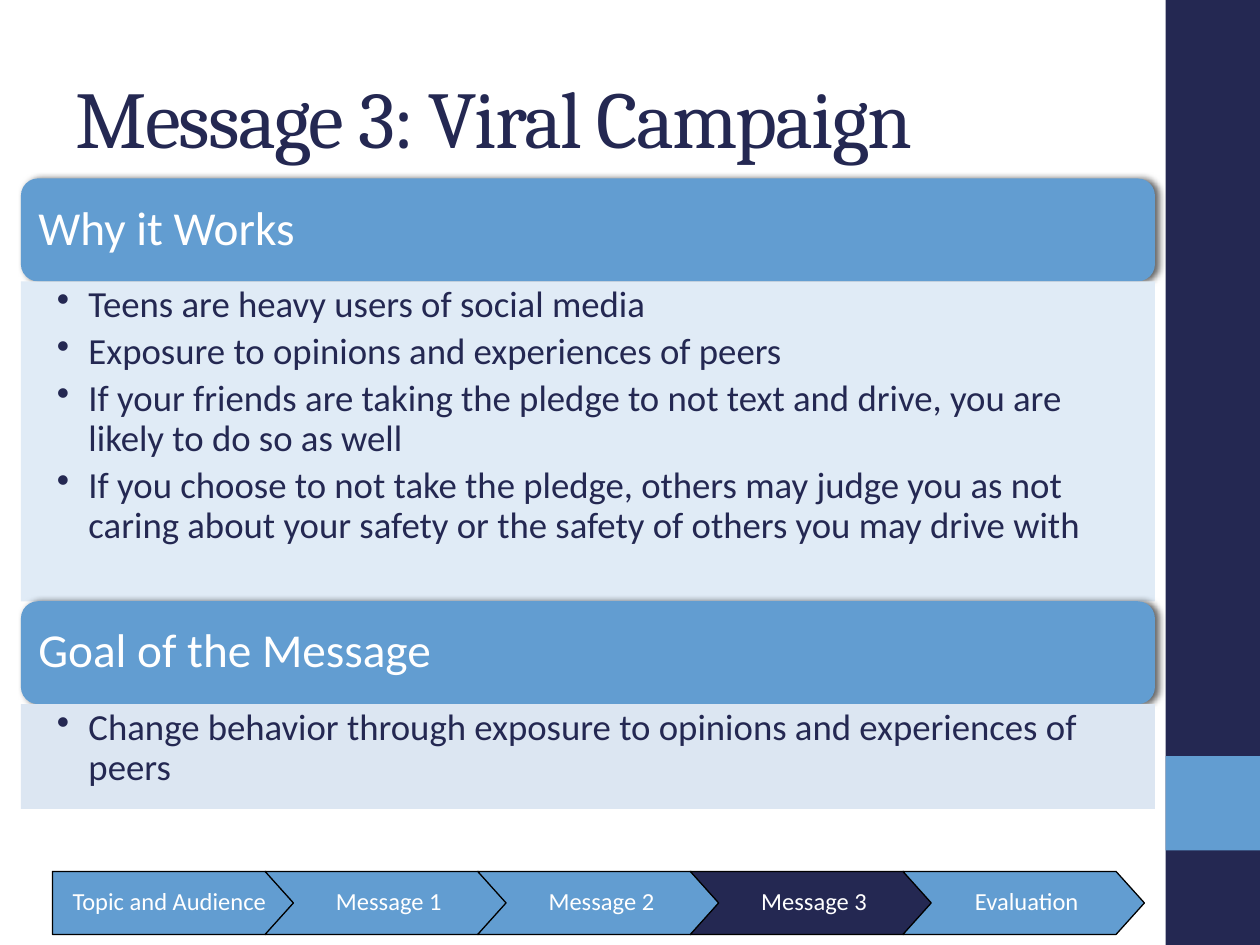
from pptx import Presentation
from pptx.dml.color import RGBColor
from pptx.enum.shapes import MSO_SHAPE as Kind
from pptx.enum.text import MSO_ANCHOR as Anchor, PP_ALIGN as Align
from pptx.oxml import parse_xml
from pptx.oxml.ns import nsdecls
from pptx.util import Pt

NAVY = RGBColor(0x24, 0x28, 0x52)
BLUE = RGBColor(0x62, 0x9D, 0xD1)
PALE = RGBColor(0xE0, 0xEB, 0xF6)
MIST = RGBColor(0xDC, 0xE6, 0xF2)
WHITE = RGBColor(255, 255, 255)
BLACK = RGBColor(0, 0, 0)

TITLE = "Message 3: Viral Campaign"
PARTS = [
    ("Why it Works", 182.8, PALE, [
        "Teens are heavy users of social media",
        "Exposure to opinions and experiences of peers",
        "If your friends are taking the pledge to not text and drive, "
        "you are likely to do so as well",
        "If you choose to not take the pledge, others may judge you as not "
        "caring about your safety or the safety of others you may drive with",
    ]),
    ("Goal of the Message", 59.8, MIST, [
        "Change behavior through exposure to opinions and experiences of peers",
    ]),
]
STEPS = ["Topic and Audience", "Message 1", "Message 2", "Message 3", "Evaluation"]
NOW = "Message 3"
BARS = [(0, 540, NAVY), (432, 54, BLUE)]

SHADOW = (
    f'<a:effectLst {nsdecls("a")}><a:outerShdw blurRad="50800" dist="25400" dir="0">'
    '<a:srgbClr val="000000"><a:alpha val="60000"/></a:srgbClr>'
    '</a:outerShdw></a:effectLst>'
)
DOT = f'<a:buChar {nsdecls("a")} char="•"/>'

deck = Presentation()
deck.slide_width, deck.slide_height = Pt(720), Pt(540)
slide = deck.slides.add_slide(deck.slide_layouts[6])


def add_box(kind, x, y, w, h, fill, edge=None):
    box = slide.shapes.add_shape(kind, Pt(x), Pt(y), Pt(w), Pt(h))
    box.shadow.inherit = False
    box.fill.solid()
    box.fill.fore_color.rgb = fill
    if edge is None:
        box.line.fill.background()
    else:
        box.line.color.rgb = edge
        box.line.width = Pt(0.75)
    return box


def put_text(box, lines, *, size, color, font="Calibri", align=Align.LEFT,
             anchor=Anchor.MIDDLE, pad=(7.2, 3.6, 7.2, 3.6), lead=0.9,
             after=0, dots=False, track=None):
    frame = box.text_frame
    frame.word_wrap = True
    frame.vertical_anchor = anchor
    (frame.margin_left, frame.margin_top,
     frame.margin_right, frame.margin_bottom) = map(Pt, pad)
    for i, line in enumerate(lines):
        para = frame.add_paragraph() if i else frame.paragraphs[0]
        para.alignment = align
        para.line_spacing = lead
        para.space_after = Pt(after)
        if dots:
            props = para._p.get_or_add_pPr()
            props.set("marL", str(Pt(18)))
            props.set("indent", str(-Pt(18)))
            props.append(parse_xml(DOT))
        run = para.add_run()
        run.text = line
        run.font.name = font
        run.font.size = Pt(size)
        run.font.color.rgb = color
        if track is not None:
            run._r.get_or_add_rPr().set("spc", str(track))


for y, h, fill in BARS:
    add_box(Kind.RECTANGLE, 666, y, 54, h, fill)

for i, step in enumerate(STEPS):
    kind = Kind.CHEVRON if i else Kind.PENTAGON
    fill = NAVY if step == NOW else BLUE
    arrow = add_box(kind, 30 + i * 121.5, 498, 138, 36, fill, BLACK)
    arrow.adjustments[0] = 0.45
    pad = (7, 3.6, 3.5, 3.6) if i else (6.5, 3.6, 2.7, 3.6)
    put_text(arrow, [step], size=14, color=WHITE, align=Align.CENTER, pad=pad)

title = slide.shapes.add_textbox(Pt(36), Pt(21.6), Pt(600), Pt(90))
put_text(title, [TITLE], size=46, color=NAVY, font="Cambria", lead=1, track=-100)

LEFT, WIDTH, HEAD = 12, 648, 58.8
top = 102
for name, tall, fill, points in PARTS:
    head = add_box(Kind.ROUNDED_RECTANGLE, LEFT, top, WIDTH, HEAD, BLUE)
    props = head._element.spPr
    props.remove(props.find("{*}effectLst"))
    props.append(parse_xml(SHADOW))
    put_text(head, [name], size=27, color=WHITE, pad=(7.2, 7.2, 7.2, 7.2))
    top += HEAD
    body = add_box(Kind.RECTANGLE, LEFT, top, WIDTH, tall, fill)
    put_text(body, points, size=21, color=NAVY, anchor=Anchor.TOP,
             pad=(20.6, 2.7, 15, 2.7), after=4.2, dots=True)
    top += tall

deck.save("out.pptx")
